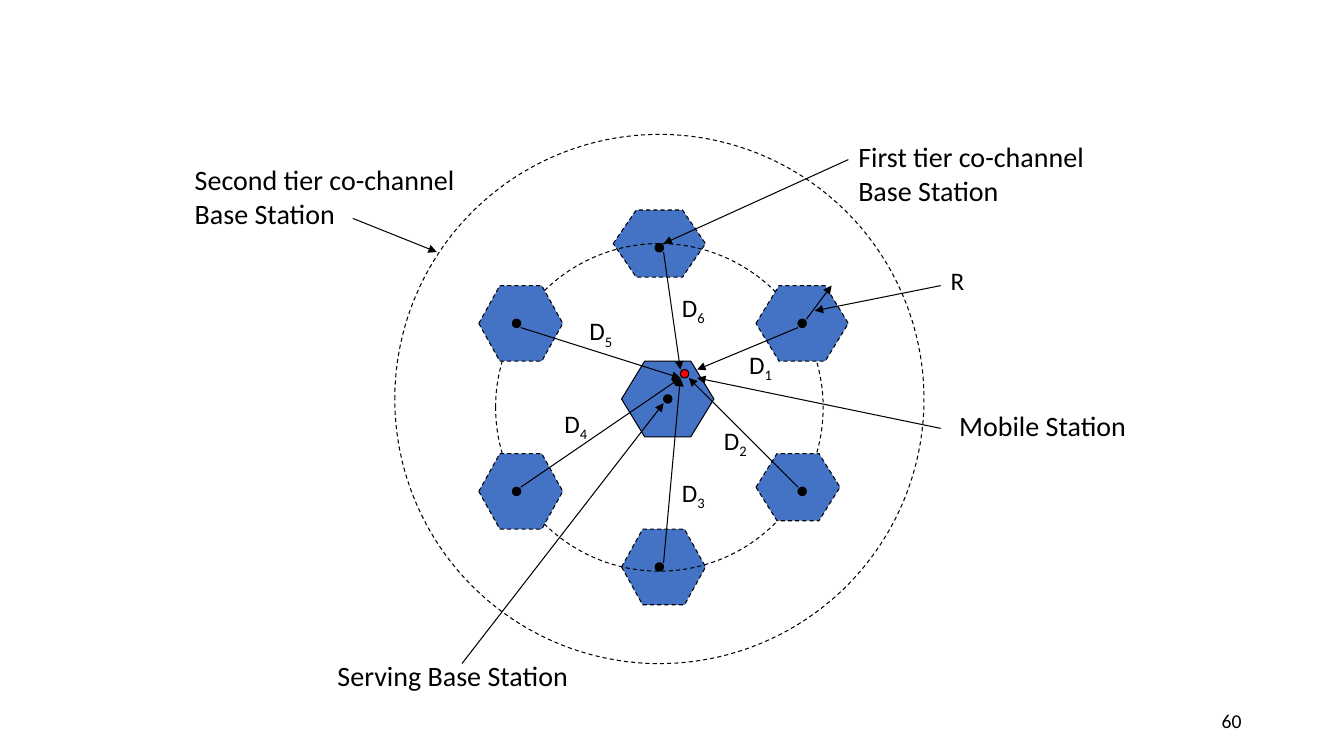
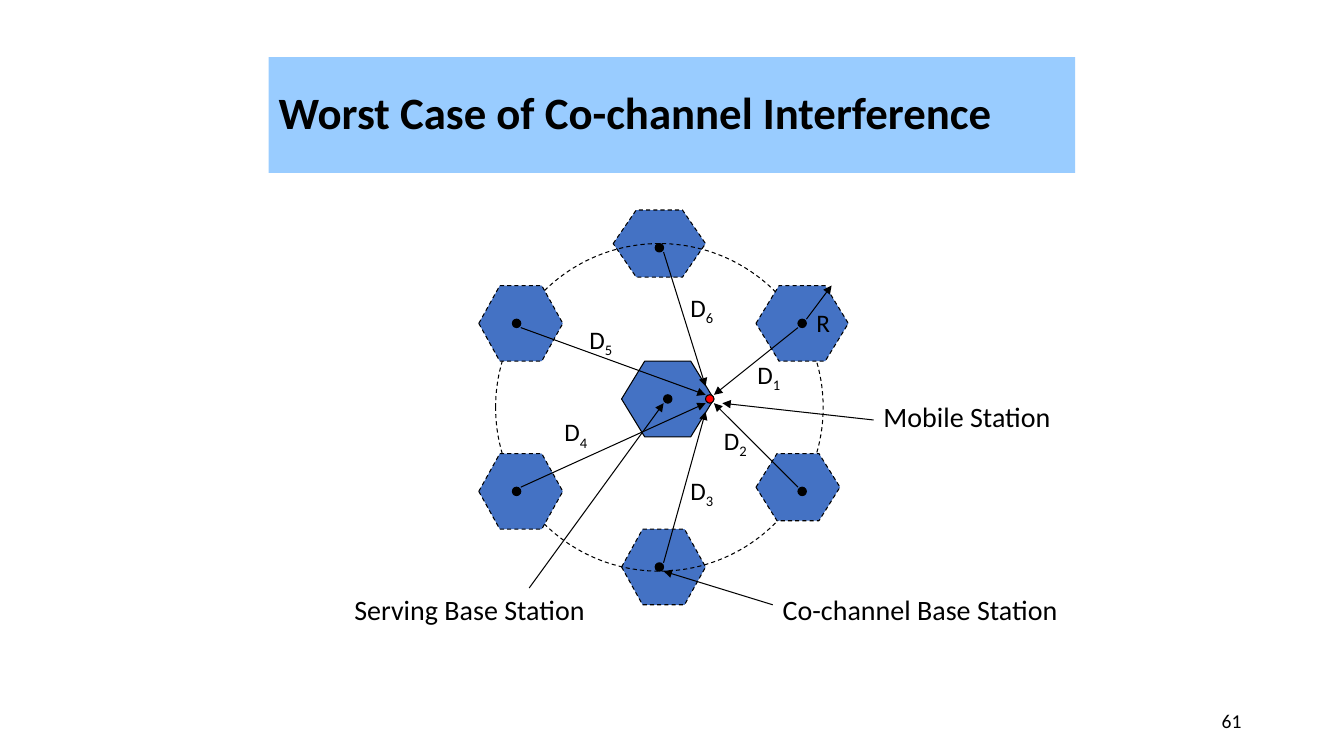
from lxml.etree import SubElement
from pptx import Presentation
from pptx.dml.color import RGBColor
from pptx.enum.dml import MSO_LINE
from pptx.enum.shapes import MSO_CONNECTOR, MSO_SHAPE
from pptx.enum.text import MSO_ANCHOR, MSO_AUTO_SIZE, PP_ALIGN
from pptx.oxml.ns import qn
from pptx.util import Cm, Pt

# All positions and sizes count cells of a drawing grid, 12 to the inch.
GRID = Cm(2.54 / 12)
FONT = "Calibri"
BLACK, RED, CELL_BLUE, TITLE_BLUE = "000000", "FF0000", "4472C4", "99CCFF"

# Drawing order matters: the ring crosses the top and bottom cells only.
SERVING_CELL = (74, 43, 11, 9)
CELLS_UNDER_RING = [(73, 25, 11, 8), (74, 63, 10, 9)]
CELLS_OVER_RING = [(90, 34, 11, 9), (90, 54, 10, 8), (57, 34, 10, 9), (57, 54, 10, 9)]
FIRST_TIER = (59, 29, 39, 39)
SECOND_TIER = (47, 16, 63, 63)
BASE_STATIONS = [(79, 47), (61, 38), (78, 29), (61, 58), (78, 67), (95, 58), (95, 38)]
DISTANCE_STARTS = [(95, 39), (95, 58), (79, 67), (62, 58), (62, 39), (79, 30)]
RADIUS_ARROW = ((96, 38), (99, 34))

# Distance ends and labels run from D1 to D6; captions are text, x, y, width, height.
SLIDES = [
    {
        "number": "60",
        "title": None,
        "rings": [SECOND_TIER],
        "mobile": (81, 44),
        "distance_ends": [(83, 44), (82, 45), (81, 45), (81, 45), (81, 45), (81, 44)],
        "distance_labels": [(88, 41), (85, 50), (80, 56.2), (66, 48), (69, 37), (80, 34.2)],
        "radius_label": (112, 31),
        "pointers": [
            ((112, 51), (83, 45)),
            ((55, 79), (79, 48)),
            ((101, 19), (79, 29)),
            ((42, 26), (52, 30)),
            ((112, 34), (97, 37)),
        ],
        "captions": [
            ("Mobile Station", 113, 48, 26, 5.2),
            ("Serving Base Station", 39, 77.8, 31, 5.2),
            ("First tier co-channel Base Station", 101, 16, 30, 9.2),
            ("Second tier co-channel Base Station", 22, 18.8, 34, 9.2),
        ],
    },
    {
        "number": "61",
        "title": "Worst Case of Co-channel Interference",
        "rings": [],
        "mobile": (84, 47),
        "distance_ends": [(85, 47), (85, 48), (84, 49), (84, 48), (84, 47), (84, 46)],
        "distance_labels": [(89, 42.2), (85, 50), (81, 56), (66, 49), (69, 38), (81, 34.2)],
        "radius_label": (96, 36),
        "pointers": [
            ((104, 50), (86, 48)),
            ((63, 70), (79, 48)),
            ((92, 72), (79, 68)),
        ],
        "captions": [
            ("Mobile Station", 104, 47, 26, 5.2),
            ("Serving Base Station", 41, 70, 31, 5.2),
            ("Co-channel Base Station", 92, 70, 37, 5.2),
        ],
    },
]


def add_outline(slide, preset, place, fill=None, dashed=False):
    """Draw a black-edged shape; without a fill it is see-through."""
    shape = slide.shapes.add_shape(preset, *[round(n * GRID) for n in place])
    shape.shadow.inherit = False
    if fill:
        shape.fill.solid()
        shape.fill.fore_color.rgb = RGBColor.from_string(fill)
    else:
        shape.fill.background()
    shape.line.color.rgb = RGBColor.from_string(BLACK)
    shape.line.width = Pt(0.75)
    if dashed:
        shape.line.dash_style = MSO_LINE.DASH
    if preset == MSO_SHAPE.HEXAGON:
        shape.adjustments[0] = place[2] / place[3] / 4


def add_label(slide, place, text, size, subscript="", bold=False):
    box = slide.shapes.add_textbox(*[round(n * GRID) for n in place])
    box.text_frame.word_wrap = True
    paragraph = box.text_frame.paragraphs[0]
    for part in filter(None, (text, subscript)):
        run = paragraph.add_run()
        run.text = part
        run.font.name = FONT
        run.font.size = Pt(size)
        run.font.bold = bold
        run.font.color.rgb = RGBColor.from_string(BLACK)
    if subscript:
        run.font._element.set("baseline", "-25000")
    return box


prs = Presentation()
prs.slide_width, prs.slide_height = 160 * GRID, 90 * GRID

for content in SLIDES:
    slide = prs.slides.add_slide(prs.slide_layouts[6])

    number = add_label(slide, (113, 83.4, 36, 4.8), content["number"], 14)
    number.text_frame.vertical_anchor = MSO_ANCHOR.MIDDLE
    number.text_frame.paragraphs[0].alignment = PP_ALIGN.RIGHT

    if content["title"]:
        title = add_label(slide, (32, 6.8, 96, 13.8), content["title"], 32, bold=True)
        title.fill.solid()
        title.fill.fore_color.rgb = RGBColor.from_string(TITLE_BLUE)
        title.text_frame.vertical_anchor = MSO_ANCHOR.MIDDLE
        title.text_frame.paragraphs[0].line_spacing = 0.9

    add_outline(slide, MSO_SHAPE.HEXAGON, SERVING_CELL, CELL_BLUE)
    for cell in CELLS_UNDER_RING:
        add_outline(slide, MSO_SHAPE.HEXAGON, cell, CELL_BLUE, dashed=True)
    for ring in [FIRST_TIER] + content["rings"]:
        add_outline(slide, MSO_SHAPE.OVAL, ring, dashed=True)
    for cell in CELLS_OVER_RING:
        add_outline(slide, MSO_SHAPE.HEXAGON, cell, CELL_BLUE, dashed=True)

    for station in BASE_STATIONS:
        add_outline(slide, MSO_SHAPE.OVAL, (*station, 1, 1), BLACK)
    add_outline(slide, MSO_SHAPE.OVAL, (*content["mobile"], 1, 1), RED)

    distances = list(zip(DISTANCE_STARTS, content["distance_ends"]))
    for start, end in distances + content["pointers"] + [RADIUS_ARROW]:
        arrow = slide.shapes.add_connector(
            MSO_CONNECTOR.STRAIGHT, *[n * GRID for n in start + end])
        arrow.line.color.rgb = RGBColor.from_string(BLACK)
        arrow.line.width = Pt(0.75)
        properties = arrow._element.spPr
        SubElement(properties.find(qn("a:ln")), qn("a:tailEnd"), type="triangle")
        SubElement(properties, qn("a:effectLst"))

    labels = [add_label(slide, place, text, 20) for text, *place in content["captions"]]
    labels.append(add_label(slide, (*content["radius_label"], 5, 4.8), "R", 18))
    for index, corner in enumerate(content["distance_labels"], start=1):
        labels.append(add_label(slide, (*corner, 7, 4.8), "D", 18, subscript=str(index)))
    for label in labels:
        label.text_frame.auto_size = MSO_AUTO_SIZE.SHAPE_TO_FIT_TEXT

prs.save("out.pptx")
